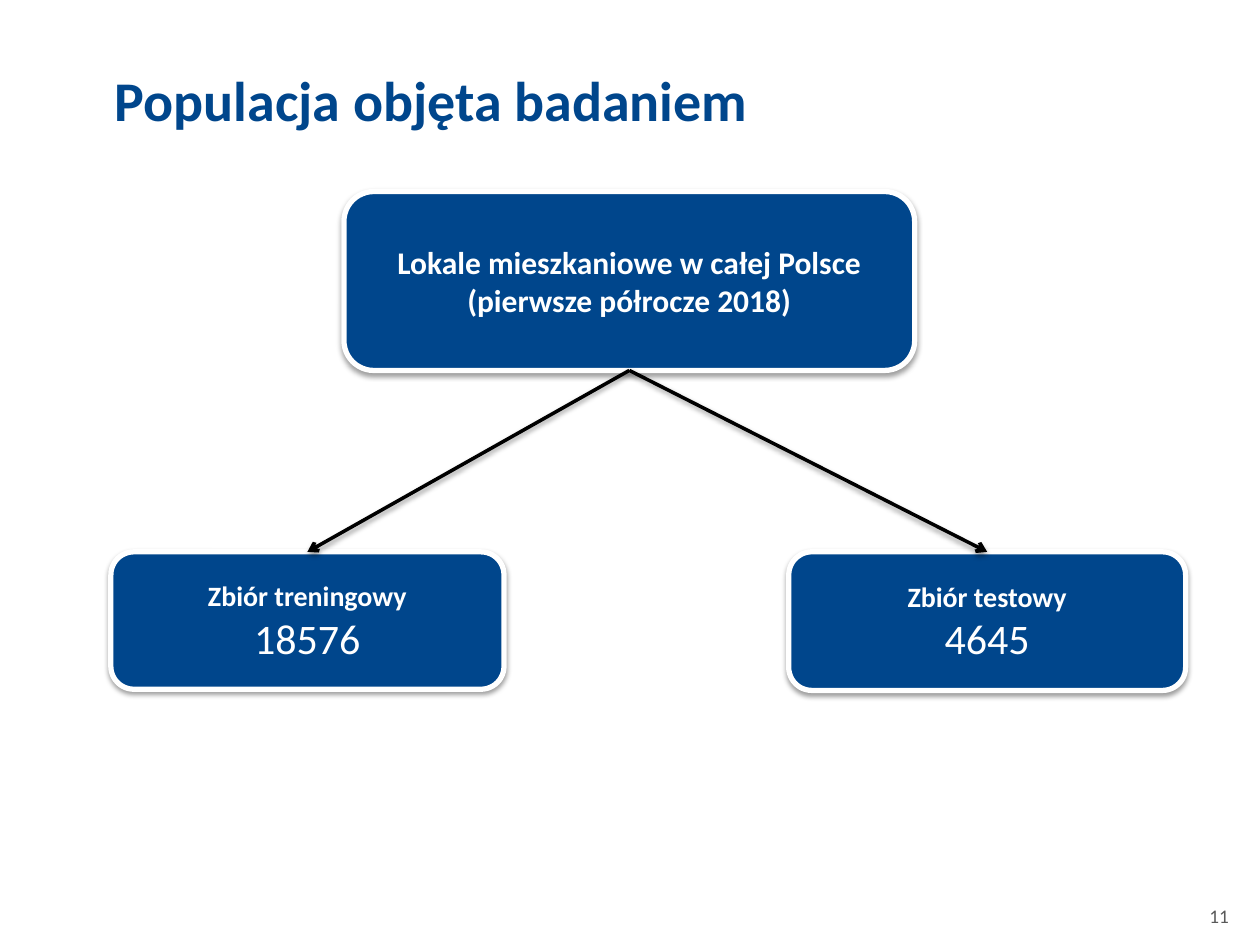
import pptx
import pptx.util
import pptx.dml.color
import pptx.enum.shapes
import pptx.enum.text
import pptx.oxml
import pptx.oxml.ns
from pptx.util import Inches, Pt

RGBColor = pptx.dml.color.RGBColor
PP_ALIGN = pptx.enum.text.PP_ALIGN
ANCHOR = pptx.enum.text.MSO_ANCHOR
BLUE = RGBColor(0x00, 0x46, 0x8C)
WHITE = RGBColor(0xFF, 0xFF, 0xFF)
BLACK = RGBColor(0x00, 0x00, 0x00)
GREY = RGBColor(0x59, 0x59, 0x59)
FONT = "Calibri"
BOTTOM, TOP = 2, 0  # connection sites

SHADOW = (
    f'<a:effectLst {pptx.oxml.ns.nsdecls("a")}>'
    '<a:outerShdw blurRad="39370" dist="20320" dir="5400000" rotWithShape="0">'
    '<a:srgbClr val="000000"><a:alpha val="38000"/></a:srgbClr>'
    '</a:outerShdw></a:effectLst>'
)
ARROWHEAD = f'<a:tailEnd {pptx.oxml.ns.nsdecls("a")} type="arrow"/>'


def place(sp, box):
    sp.left, sp.top, sp.width, sp.height = (Inches(v) for v in box)


def add_run(p, text, size, color, bold=False):
    r = p.add_run()
    r.text = text
    r.font.name = FONT
    r.font.size = Pt(size)
    r.font.bold = bold
    r.font.color.rgb = color


def add_shadow(sp):
    sp._element.spPr.append(pptx.oxml.parse_xml(SHADOW))


def add_title(s, box, text):
    sp = s.shapes.title
    place(sp, box)
    tf = sp.text_frame
    tf.margin_left = tf.margin_top = tf.margin_right = tf.margin_bottom = 0
    tf.vertical_anchor = ANCHOR.TOP
    tf.word_wrap = True
    p = tf.paragraphs[0]
    p.alignment = PP_ALIGN.LEFT
    add_run(p, text, 32, BLUE, True)


def add_page_number(s, box, text):
    tf = s.shapes.add_textbox(*(Inches(v) for v in box)).text_frame
    tf.margin_left = tf.margin_right = Inches(0.09)
    tf.margin_top = tf.margin_bottom = Inches(0.04)
    p = tf.paragraphs[0]
    p.alignment = PP_ALIGN.CENTER
    add_run(p, text, 11, GREY)


def add_node(s, box, lines):
    """Rounded box; lines holds (text, size, bold) for each paragraph."""
    sp = s.shapes.add_shape(pptx.enum.shapes.MSO_SHAPE.ROUNDED_RECTANGLE,
                            *(Inches(v) for v in box))
    sp.fill.solid()
    sp.fill.fore_color.rgb = BLUE
    sp.line.color.rgb = WHITE
    sp.line.width = Pt(3)
    add_shadow(sp)
    tf = sp.text_frame
    tf.word_wrap = True
    tf.vertical_anchor = ANCHOR.MIDDLE
    for i, (text, size, bold) in enumerate(lines):
        p = tf.add_paragraph() if i else tf.paragraphs[0]
        p.alignment = PP_ALIGN.CENTER
        add_run(p, text, size, WHITE, bold)
    return sp


def add_arrow(s, parent, child):
    c = s.shapes.add_connector(pptx.enum.shapes.MSO_CONNECTOR.STRAIGHT, 0, 0, 0, 0)
    c.begin_connect(parent, BOTTOM)
    c.end_connect(child, TOP)
    c.line.color.rgb = BLACK
    c.line.width = Pt(2)
    c.line._get_or_add_ln().append(pptx.oxml.parse_xml(ARROWHEAD))
    add_shadow(c)


def add_split_tree(s, root_box, root_lines, children):
    root = add_node(s, root_box, [(text, 18, True) for text in root_lines])
    nodes = [add_node(s, box, [(name, 16, True), (count, 24, False)])
             for box, name, count in children]
    for node in nodes:
        add_arrow(s, root, node)


def main():
    prs = pptx.Presentation()
    prs.slide_width, prs.slide_height = Inches(10), Inches(7.5)
    s = prs.slides.add_slide(prs.slide_layouts[5])  # title only

    # Heading and page number
    add_page_number(s, (9.47, 7.14, 0.41, 0.28), "11")
    add_title(s, (0.91, 0.52, 6.69, 0.98), "Populacja objęta badaniem")

    # Population split into training and test sets
    add_split_tree(
        s, (2.73, 1.52, 4.53, 1.42),
        ["Lokale mieszkaniowe w całej Polsce", "(pierwsze półrocze 2018)"],
        [((0.88, 4.38, 3.12, 1.09), "Zbiór treningowy", "18576"),
         ((6.26, 4.38, 3.15, 1.1), "Zbiór testowy", "4645")])

    prs.save("out.pptx")


if __name__ == "__main__":
    main()
